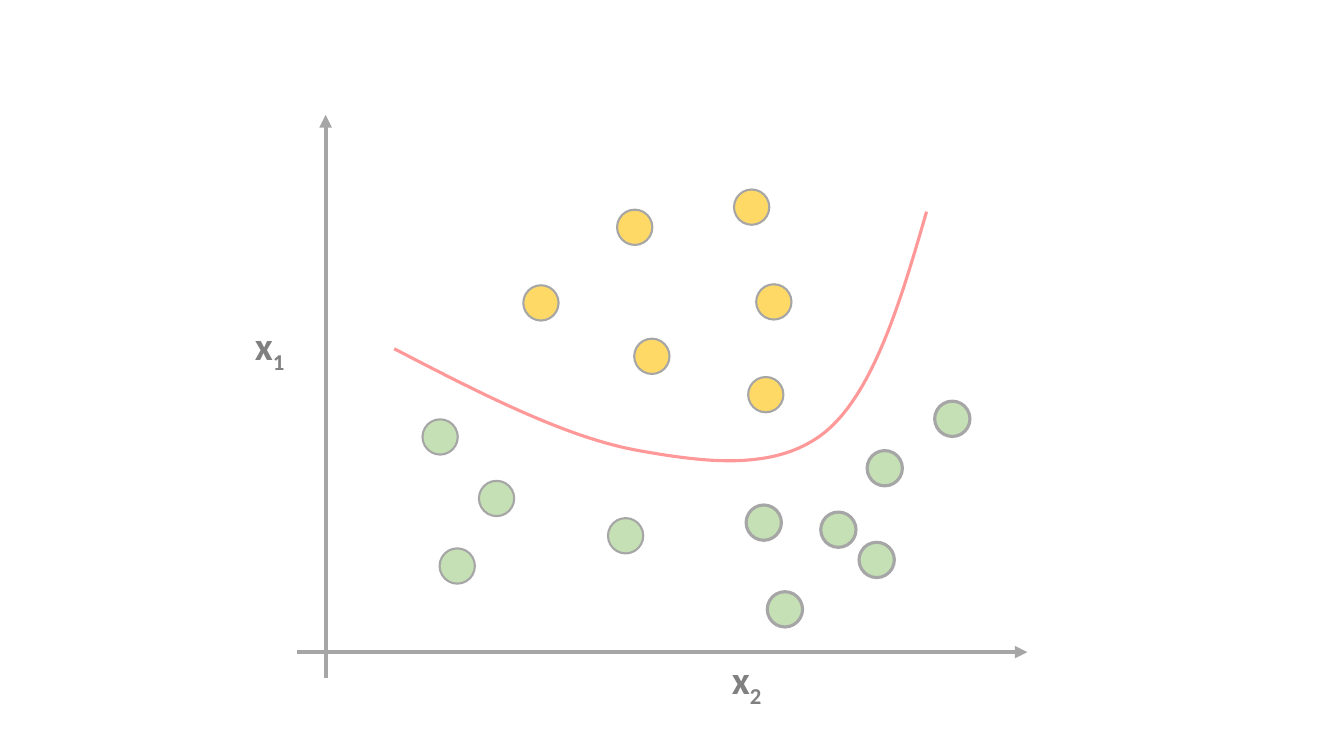
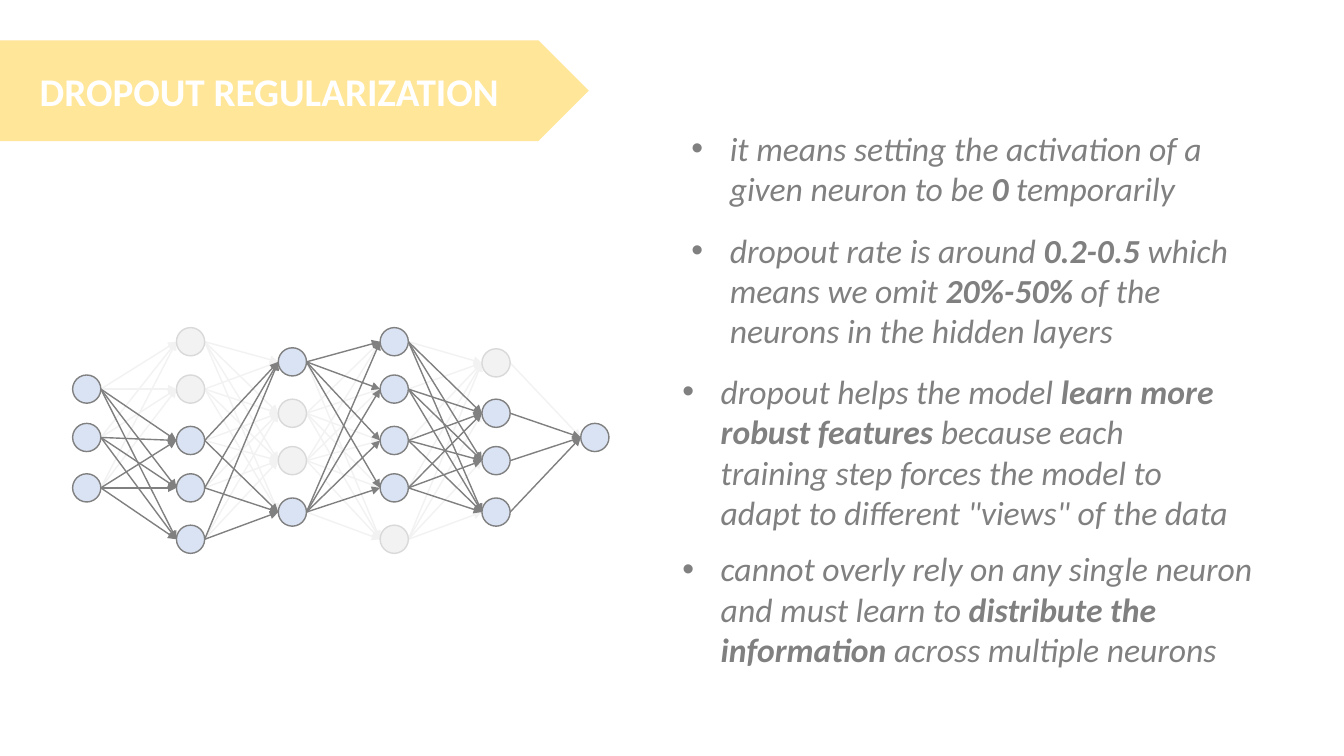
from itertools import product

from lxml.etree import SubElement
from pptx import Presentation
from pptx.dml.color import RGBColor
from pptx.enum.shapes import MSO_CONNECTOR, MSO_SHAPE
from pptx.enum.text import MSO_ANCHOR, MSO_AUTO_SIZE, PP_ALIGN
from pptx.oxml.ns import qn
from pptx.util import Inches, Pt

FONT = "Calibri"
WHITE = RGBColor(0xFF, 0xFF, 0xFF)
TEXT_GRAY = RGBColor(0x80, 0x80, 0x80)
AXIS_GRAY = RGBColor(0xA6, 0xA6, 0xA6)
RING_GRAY = RGBColor(0xD9, 0xD9, 0xD9)
PALE_GRAY = RGBColor(0xF2, 0xF2, 0xF2)
GREEN = RGBColor(0xC5, 0xE0, 0xB4)
GOLD = RGBColor(0xFF, 0xD9, 0x66)
BANNER_YELLOW = RGBColor(0xFF, 0xE6, 0x99)
BLUE = RGBColor(0xDA, 0xE3, 0xF3)
RED = RGBColor(0xFF, 0x99, 0x99)


def write(box, *pieces, size, color=TEXT_GRAY, bold=False, italic=False,
          wrap=True, bullet=False, align=PP_ALIGN.LEFT):
    """Write one paragraph; a piece is a string or (string, "bold" or "sub")."""
    frame = box.text_frame
    frame.word_wrap = wrap
    para = frame.paragraphs[0]
    para.alignment = align
    if bullet:
        properties = para._p.get_or_add_pPr()
        properties.set("marL", str(Inches(0.38)))
        properties.set("indent", str(Inches(-0.38)))
        SubElement(properties, qn("a:buFont")).set("typeface", "Arial")
        SubElement(properties, qn("a:buChar")).set("char", "•")
    for piece in pieces:
        text, mark = (piece, None) if isinstance(piece, str) else piece
        span = para.add_run()
        span.text = text
        span.font.name = FONT
        span.font.size = Pt(size)
        span.font.color.rgb = color
        span.font.bold = bold or mark == "bold"
        span.font.italic = italic
        if mark == "sub":
            span._r.get_or_add_rPr().set("baseline", "-25000")


def outline(shape, color, width, fill=None, arrow=False):
    """Give a shape or connector a plain line, without a shadow."""
    if fill is not None:
        shape.fill.solid()
        shape.fill.fore_color.rgb = fill
    shape.line.color.rgb = color
    shape.line.width = Pt(width)
    if arrow:
        line = shape.line._get_or_add_ln()
        SubElement(line, qn("a:tailEnd")).set("type", "triangle")
    SubElement(shape._element.spPr, qn("a:effectLst"))


deck = Presentation()
deck.slide_width = Inches(13.33)
deck.slide_height = Inches(7.5)
blank = deck.slide_layouts[6]

# Slide 1: two classes and a decision boundary
page = deck.slides.add_slide(blank)

# Axes
for ends in [(3.23, 6.73, 3.23, 1.14), (2.95, 6.47, 10.19, 6.47)]:
    axis = page.shapes.add_connector(MSO_CONNECTOR.STRAIGHT, *map(Inches, ends))
    outline(axis, AXIS_GRAY, 3, arrow=True)
for left, top, index in [(2.43, 3.14, "1"), (7.16, 6.45, "2")]:
    box = page.shapes.add_textbox(Inches(left), Inches(top), Inches(0.52), Inches(0.57))
    write(box, "x", (index, "sub"), size=28, bold=True, wrap=False)

# Data points: fill, line width, left and top corners
point_groups = [
    (GREEN, 1.5, [(4.19, 4.16), (4.36, 5.44), (4.75, 4.77), (6.03, 5.14)]),
    (GOLD, 1.5, [(6.12, 2.08), (6.29, 3.36), (7.42, 3.74),
                 (7.5, 2.82), (7.28, 1.88), (5.19, 2.83)]),
    (GREEN, 2.25, [(7.4, 5.01), (8.52, 5.38), (8.6, 4.47),
                   (7.61, 5.87), (8.14, 5.08), (9.27, 3.98)]),
]
for fill, width, corners in point_groups:
    for left, top in corners:
        point = page.shapes.add_shape(
            MSO_SHAPE.OVAL, Inches(left), Inches(top), Inches(0.35), Inches(0.35))
        outline(point, AXIS_GRAY, width, fill=fill)

# Boundary: three joined cubic curves, each drawn in short steps
controls = [(3.91, 3.46), (4.74, 3.89), (5.57, 4.32), (6.28, 4.46), (6.99, 4.59),
            (7.69, 4.68), (8.18, 4.29), (8.66, 3.9), (8.93, 3), (9.19, 2.1)]
STEPS = 24
curve_points = []
for start, step in product((0, 3, 6), range(1, STEPS + 1)):
    t = step / STEPS
    weights = ((1 - t) ** 3, 3 * t * (1 - t) ** 2, 3 * t ** 2 * (1 - t), t ** 3)
    segment = controls[start:start + 4]
    curve_points.append(tuple(
        Inches(sum(weight * control[axis] for weight, control in zip(weights, segment)))
        for axis in (0, 1)))
builder = page.shapes.build_freeform(*map(Inches, controls[0]))
builder.add_line_segments(curve_points, close=False)
boundary = builder.convert_to_shape()
boundary.fill.background()
outline(boundary, RED, 2.25)

# Slide 2: dropout
page = deck.slides.add_slide(blank)

# Title banner
banner = page.shapes.add_shape(
    MSO_SHAPE.CHEVRON, Inches(-0.5), Inches(0.4), Inches(6.34), Inches(1))
banner.shadow.inherit = False
banner.fill.solid()
banner.fill.fore_color.rgb = BANNER_YELLOW
banner.line.fill.background()
banner.text_frame.vertical_anchor = MSO_ANCHOR.MIDDLE
write(banner, "DROPOUT REGULARIZATION", size=28, color=WHITE, bold=True,
      wrap=False, align=PP_ALIGN.CENTER)

# Network layers: left, neuron tops, indexes of dropped neurons
NEURON = 0.28
layers = [
    (0.72, [3.72, 4.2, 4.7], set()),
    (1.75, [3.25, 3.72, 4.23, 4.7, 5.21], {0, 1}),
    (2.76, [3.45, 3.96, 4.43, 4.94], {1, 2}),
    (3.77, [3.25, 3.72, 4.23, 4.7, 5.21], {4}),
    (4.78, [3.46, 3.96, 4.43, 4.94], {0}),
    (5.76, [4.2], set()),
]

# Every neuron feeds the whole next layer; links of dropped neurons fade
links = {True: [], False: []}
for (left, tops, dropped), (next_left, next_tops, next_dropped) in zip(layers, layers[1:]):
    for (i, top), (j, next_top) in product(enumerate(tops), enumerate(next_tops)):
        active = i not in dropped and j not in next_dropped
        links[active].append((left + NEURON, top + NEURON / 2,
                              next_left, next_top + NEURON / 2))
for active, color in [(False, PALE_GRAY), (True, TEXT_GRAY)]:
    for ends in links[active]:
        link = page.shapes.add_connector(MSO_CONNECTOR.STRAIGHT, *map(Inches, ends))
        outline(link, color, 1, arrow=True)

# Neurons
for left, tops, dropped in layers:
    for i, top in enumerate(tops):
        neuron = page.shapes.add_shape(
            MSO_SHAPE.OVAL, Inches(left), Inches(top), Inches(NEURON), Inches(NEURON))
        fill, ring = (PALE_GRAY, RING_GRAY) if i in dropped else (BLUE, TEXT_GRAY)
        outline(neuron, ring, 1, fill=fill)

# Explanations: left, top, width, height, text pieces
explanations = [
    (6.76, 1.22, 5.67, 0.91,
     ["it means setting the activation of a given neuron to be ",
      ("0", "bold"), " temporarily"]),
    (6.76, 2.23, 5.67, 1.31,
     ["dropout rate is around ", ("0.2-0.5 ", "bold"), "which means we omit ",
      ("20%-50% ", "bold"), "of the neurons in the hidden layers"]),
    (6.67, 3.63, 5.67, 1.72,
     ["dropout helps the model ", ("learn more robust features", "bold"),
      " because each training step forces the model to adapt to different"
      ' "views" of the data']),
    (6.67, 5.39, 6.32, 1.31,
     ["cannot overly rely on any single neuron and must learn to ",
      ("distribute the information", "bold"), " across multiple neurons"]),
]
for *place, pieces in explanations:
    box = page.shapes.add_textbox(*map(Inches, place))
    box.text_frame.auto_size = MSO_AUTO_SIZE.SHAPE_TO_FIT_TEXT
    write(box, *pieces, size=24, italic=True, bullet=True)

deck.save("out.pptx")
